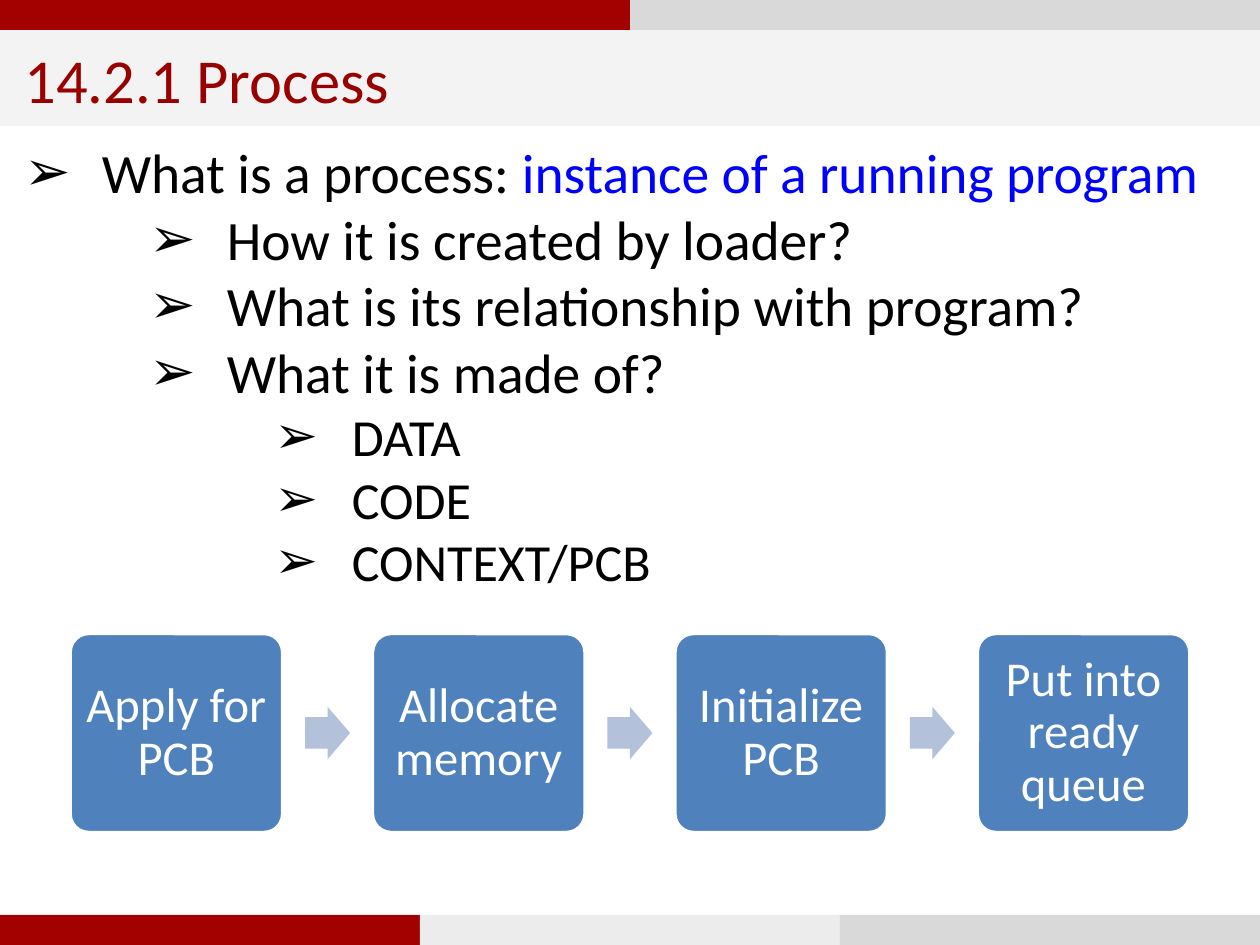
import pptx
import pptx.util
import pptx.dml.color
import pptx.enum.shapes
import pptx.enum.text
import pptx.oxml
import pptx.oxml.ns
from dataclasses import dataclass

Inches, Pt = pptx.util.Inches, pptx.util.Pt
SHAPE = pptx.enum.shapes.MSO_SHAPE
ALIGN = pptx.enum.text.PP_ALIGN
ANCHOR = pptx.enum.text.MSO_ANCHOR


@dataclass
class Theme:
    font: str = "Calibri"
    red: str = "A30000"
    grey: str = "D9D9D9"
    pale: str = "ECECEC"
    band: str = "F3F3F3"
    head: str = "990000"
    ink: str = "000000"
    accent: str = "0000FF"
    white: str = "FFFFFF"
    box: str = "4F81BD"
    arrow: str = "B3C1DB"
    title: int = 18
    levels: tuple = (16, 16, 15)
    label: int = 14


class Deck:
    """Places elements on a grid of square cells, 42 columns by 31.5 rows."""
    cell = 0.12
    cols, rows = 42, 31.5

    def __init__(self, theme):
        self.theme = theme
        self.file = pptx.Presentation()
        self.file.slide_width = self.span(self.cols)
        self.file.slide_height = self.span(self.rows)
        self.slide = self.file.slides.add_slide(self.file.slide_layouts[6])

    def span(self, cells):
        return Inches(cells * self.cell)

    def color(self, code):
        return pptx.dml.color.RGBColor.from_string(code)

    def shape(self, kind, x, y, w, h, fill, line=None):
        item = self.slide.shapes.add_shape(kind, *map(self.span, (x, y, w, h)))
        item.shadow.inherit = False
        item.fill.solid()
        item.fill.fore_color.rgb = self.color(fill)
        if line:
            item.line.color.rgb = self.color(line)
            item.line.width = Pt(2)
        else:
            item.line.fill.background()
        return item

    def frame(self, item, anchor, side, top):
        text = item.text_frame
        text.word_wrap = True
        text.vertical_anchor = anchor
        text.margin_left = text.margin_right = Inches(side)
        text.margin_top = text.margin_bottom = Inches(top)
        return text

    def style(self, para, size, code, align=ALIGN.LEFT):
        para.alignment = align
        para.font.name = self.theme.font
        para.font.size = Pt(size)
        para.font.color.rgb = self.color(code)

    def strip(self, y, fills):
        """A row of equal bars across the whole slide."""
        wide = self.cols / len(fills)
        for i, fill in enumerate(fills):
            self.shape(SHAPE.RECTANGLE, i * wide, y, wide, 1, fill)

    def title(self, words, y, h):
        item = self.shape(SHAPE.RECTANGLE, 0, y, self.cols, h, self.theme.band)
        para = self.frame(item, ANCHOR.MIDDLE, 0.1, 0.05).paragraphs[0]
        para.text = words
        self.style(para, self.theme.title, self.theme.head)

    def bullet(self, para, level):
        para.level = level
        props = para._p.get_or_add_pPr()
        props.set("marL", str(Inches(0.31 + 0.5 * level)))
        props.set("indent", str(Inches(-0.31)))
        space = pptx.oxml.ns.nsdecls("a")
        for mark in (f'<a:buFont {space} typeface="{self.theme.font}"/>',
                     f'<a:buChar {space} char="➢"/>'):
            props.append(pptx.oxml.parse_xml(mark))

    def outline(self, items, y, h):
        """Bulleted list; each item is a level, its words and any accent."""
        item = self.shape(SHAPE.RECTANGLE, 0, y, self.cols, h, self.theme.white)
        text = self.frame(item, ANCHOR.TOP, 0.1, 0.05)
        for i, (level, words, *accent) in enumerate(items):
            para = text.add_paragraph() if i else text.paragraphs[0]
            self.bullet(para, level)
            para.add_run().text = words
            self.style(para, self.theme.levels[level], self.theme.ink)
            for more in accent:
                run = para.add_run()
                run.text = more
                run.font.color.rgb = self.color(self.theme.accent)

    def step(self, words, x, y, w, h):
        item = self.shape(SHAPE.ROUNDED_RECTANGLE, x, y, w, h,
                          self.theme.box, self.theme.white)
        item.adjustments[0] = 0.1
        para = self.frame(item, ANCHOR.MIDDLE, 0.04, 0.04).paragraphs[0]
        para.text = words
        para.line_spacing = 0.9
        self.style(para, self.theme.label, self.theme.white, ALIGN.CENTER)

    def arrow(self, x, y, w, h):
        item = self.shape(SHAPE.RIGHT_ARROW, x, y, w, h, self.theme.arrow)
        item.adjustments[0] = 0.6

    def flow(self, steps, x, y, w, h, pitch):
        """Equal boxes with an arrow centred in each gap."""
        long, tall = 1.5, 1.75
        for i, words in enumerate(steps):
            left = x + i * pitch
            self.step(words, left, y, w, h)
            if i < len(steps) - 1:
                self.arrow(left + (w + pitch - long) / 2,
                           y + (h - tall) / 2, long, tall)


def main():
    theme = Theme()
    deck = Deck(theme)

    # Body list
    deck.outline([
        (0, "What is a process: ", "instance of a running program"),
        (1, "How it is created by loader?"),
        (1, "What is its relationship with program?"),
        (1, "What it is made of?"),
        (2, "DATA"),
        (2, "CODE"),
        (2, "CONTEXT/PCB"),
    ], y=4.2, h=26.3)

    # Header and footer
    deck.strip(0, [theme.red, theme.grey])
    deck.title("14.2.1 Process", y=1, h=3.2)
    deck.strip(deck.rows - 1, [theme.red, theme.pale, theme.grey])

    # Process creation steps
    deck.flow(["Apply for PCB", "Allocate memory", "Initialize PCB",
               "Put into ready queue"],
              x=2.28, y=21.06, w=7.2, h=6.75, pitch=10.08)

    deck.file.save("out.pptx")


if __name__ == "__main__":
    main()
